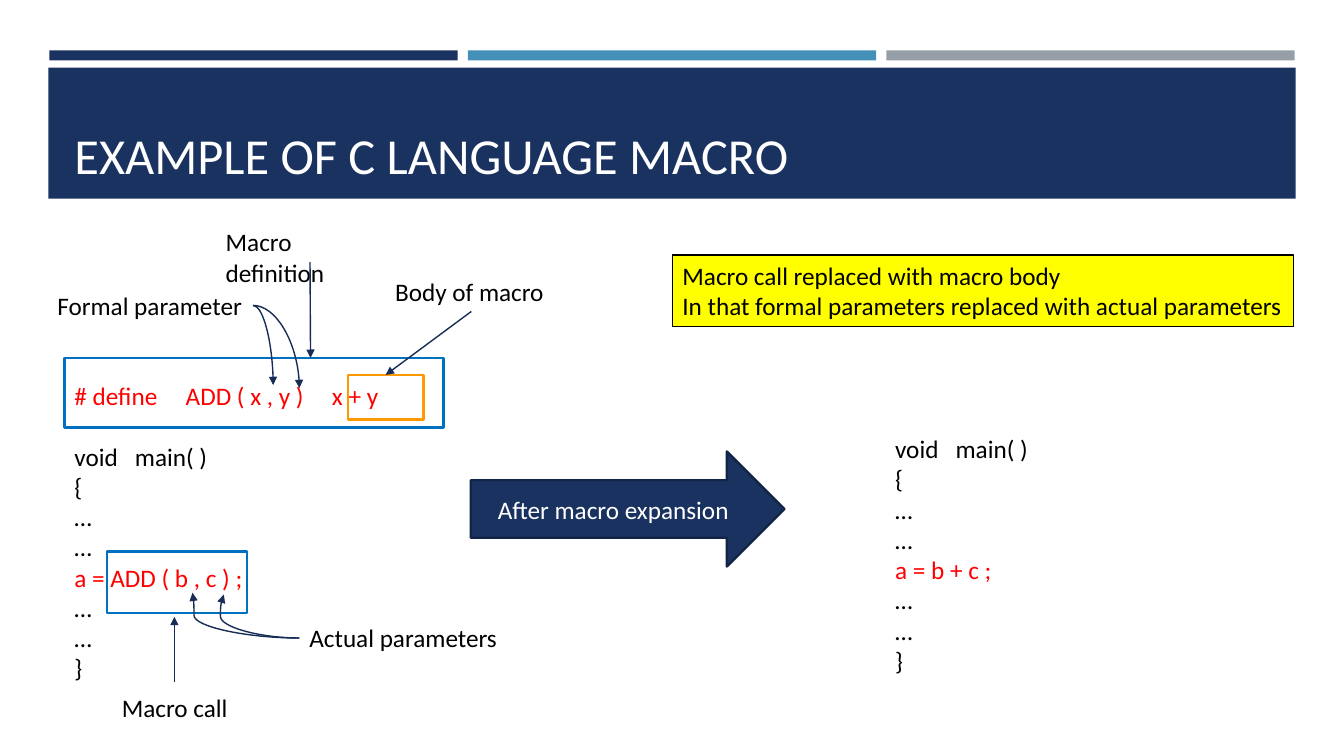
"""Build a slide that explains a C language macro and its expansion."""
from lxml import etree
from pptx import Presentation
from pptx.dml.color import RGBColor
from pptx.enum.shapes import MSO_CONNECTOR as LINK, MSO_SHAPE as SHAPE
from pptx.enum.text import MSO_ANCHOR as ANCHOR, PP_ALIGN as ALIGN
from pptx.oxml.ns import qn
from pptx.util import Pt

PX = 9144
NAVY, BLUE, RED, BLACK, WHITE = "1A3260", "0070C0", "FF0000", "000000", "FFFFFF"
hexcolor = RGBColor.from_string

deck = Presentation()
deck.slide_width, deck.slide_height = 1333 * PX, 750 * PX
slide = deck.slides.add_slide(deck.slide_layouts[6])


def add_box(area, lines=(), fill=None, line=None, weight=1.75, size=18,
            color=BLACK, preset=SHAPE.RECTANGLE):
    """Add a shape with left-aligned lines; a line may be (text, color)."""
    box = slide.shapes.add_shape(preset, *[v * PX for v in area])
    box.shadow.inherit = False
    if fill:
        box.fill.solid()
        box.fill.fore_color.rgb = hexcolor(fill)
    else:
        box.fill.background()
    if line:
        box.line.color.rgb = hexcolor(line)
        box.line.width = Pt(weight)
    else:
        box.line.fill.background()
    frame = box.text_frame
    frame.word_wrap = True
    frame.vertical_anchor = ANCHOR.TOP
    frame.margin_right = 0
    for i, entry in enumerate(lines):
        text, ink = entry if isinstance(entry, tuple) else (entry, color)
        para = frame.paragraphs[0] if i == 0 else frame.add_paragraph()
        para.text = text
        para.alignment = ALIGN.LEFT
        para.font.size, para.font.name = Pt(size), "Calibri"
        para.font.color.rgb = hexcolor(ink)
    return box


def add_arrow(ends, preset=None, bend=None):
    """Add a thin arrow, curved when a connector preset is named."""
    kind = LINK.CURVE if preset else LINK.STRAIGHT
    arrow = slide.shapes.add_connector(kind, *[v * PX for v in ends])
    arrow.line.color.rgb = hexcolor("172D56")
    arrow.line.width = Pt(1)
    props = arrow.element.spPr
    etree.SubElement(props.find(qn("a:ln")), qn("a:tailEnd"), type="triangle")
    etree.SubElement(props, qn("a:effectLst"))
    if preset:
        geometry = props.find(qn("a:prstGeom"))
        geometry.set("prst", preset)
        if bend:
            etree.SubElement(geometry.find(qn("a:avLst")), qn("a:gd"),
                             name="adj1", fmla=f"val {bend}")
    return arrow


for column, bar_color in enumerate((NAVY, "4590B8", "969FA7")):
    add_box((49 + 415 * column, 50, 405, 10), fill=bar_color)
add_box((48, 67, 1237, 130), fill=NAVY)
title = add_box((64, 77, 1206, 111), ["EXAMPLE OF C LANGUAGE MACRO"],
                size=36, color=WHITE)
title.text_frame.vertical_anchor = ANCHOR.BOTTOM

opening, closing = ["void   main( )", "{", "…", "…"], ["…", "…", "}"]
source_code = add_box(
    (64, 372, 356, 313),
    [("# define     ADD ( x , y )     x + y", RED), *opening,
     ("a = ADD ( b , c ) ;", RED), *closing], fill=WHITE)
source_code.text_frame.paragraphs[1].space_before = Pt(22)
expanded_code = add_box((878, 364, 356, 313),
                        [*opening, ("a = b + c ;", RED), *closing], fill=WHITE)
expanded_code.text_frame.margin_top = 66 * PX

expansion = add_box((467, 448, 311, 114), ["After macro expansion"], fill=NAVY,
                    line="132547", color=WHITE, preset=SHAPE.RIGHT_ARROW)
expansion.text_frame.vertical_anchor = ANCHOR.MIDDLE
expansion.text_frame.margin_right = 10 * PX
expansion.text_frame.paragraphs[0].alignment = ALIGN.CENTER

add_box((64, 355, 376, 69), line=BLUE)
definition = add_box((214, 220, 187, 40), ["Macro definition"])
definition.text_frame.margin_right = 60 * PX
add_arrow((308, 260, 308, 355)).begin_connect(definition, 2)

add_box((106, 547, 139, 61), line=BLUE)
add_box((111, 682, 125, 40), ["Macro call"])
add_arrow((173, 677, 173, 612))

body_label = add_box((382, 269, 171, 40), ["Body of macro"])
body = add_box((345, 372, 75, 44), line="FF9900")
body_arrow = add_arrow((467, 309, 382, 372))
body_arrow.begin_connect(body_label, 2)
body_arrow.end_connect(body, 0)

add_box((297, 612, 208, 40), ["Actual parameters"])
add_arrow((297, 633, 191, 588), "curvedConnector3", 98600)
add_arrow((297, 633, 222, 590), "curvedConnector3", 104500)

add_box((47, 283, 204, 40), ["Formal parameter"])
for tip_x, tip_y in ((297, 385), (271, 382)):
    add_arrow((251, 303, tip_x, tip_y), "curvedConnector2")

add_box((667, 253, 616, 71),
        ["Macro call replaced with macro body",
         "In that formal parameters replaced with actual parameters"],
        fill="FFFF00", line=BLACK, weight=0.75)

deck.save("out.pptx")
